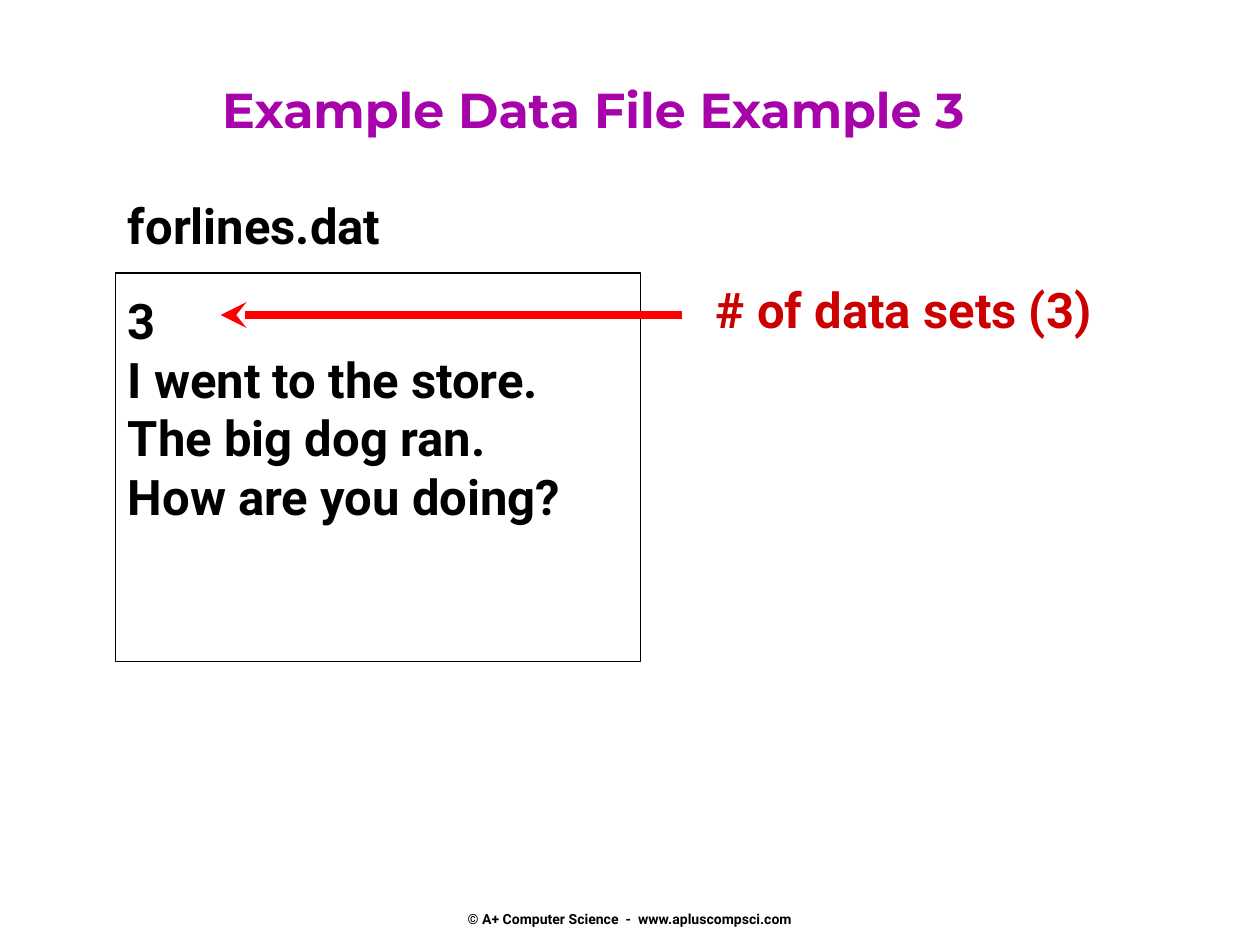
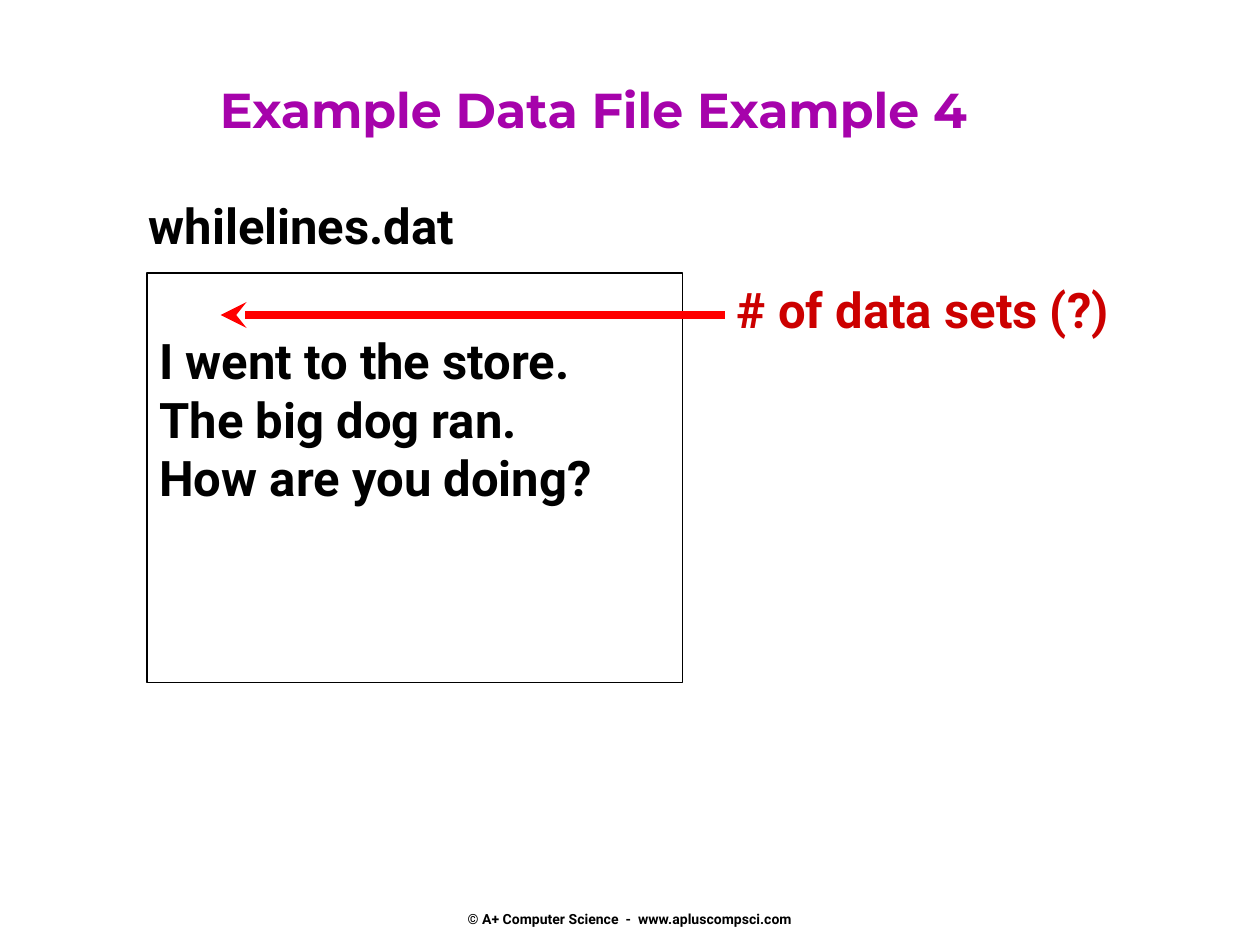
from lxml import etree
from pptx import Presentation
from pptx.dml.color import RGBColor
from pptx.enum.shapes import MSO_CONNECTOR as CONN, MSO_SHAPE as SHAPE
from pptx.enum.text import MSO_ANCHOR as ANCHOR, PP_ALIGN as ALIGN
from pptx.oxml.ns import qn
from pptx.util import Inches, Pt

COLORS = {"title": "A603AB", "text": "000000", "paper": "FFFFFF",
          "note": "CC0000", "arrow": "FF0000"}
HEAD_FONT, BODY_FONT = "Montserrat", "Roboto"
FOOTER = "© A+ Computer Science  -  www.apluscompsci.com"
SENTENCES = ["I went to the store.", "The big dog ran.", "How are you doing?"]

# Rows and columns shared by both slides, in twelfths of an inch
NAME_ROW, BOX_ROW, ARROW_ROW = 18, 26, 30
LABEL_ROWS = 7
ARROW_TIP = 21
FREE_SPACE = 0.99  # room for two more lines at the foot of the file box


def grid(*cells):
    """Turn grid columns and rows into lengths."""
    return [Inches(c / 12) for c in cells]


def rgb(name):
    return RGBColor.from_string(COLORS[name])


def write(sp, lines, size=28, font=BODY_FONT, color="text",
          align=ALIGN.LEFT, anchor=ANCHOR.TOP, bottom=0.05):
    tf = sp.text_frame
    tf.word_wrap = True
    tf.vertical_anchor = anchor
    tf.margin_bottom = Inches(bottom)
    for i, line in enumerate(lines):
        p = tf.add_paragraph() if i else tf.paragraphs[0]
        p.alignment = align
        r = p.add_run()
        r.text = line
        r.font.size, r.font.name, r.font.bold = Pt(size), font, True
        r.font.color.rgb = rgb(color)


def add_text(s, cells, text, **style):
    write(s.shapes.add_textbox(*grid(*cells)), [text], **style)


def add_file_box(s, cells, lines):
    sp = s.shapes.add_shape(SHAPE.RECTANGLE, *grid(*cells))
    sp.shadow.inherit = False
    sp.fill.solid()
    sp.fill.fore_color.rgb = rgb("paper")
    sp.line.color.rgb = rgb("text")
    sp.line.width = Pt(1)
    write(sp, lines, anchor=ANCHOR.MIDDLE, bottom=FREE_SPACE)


def add_arrow(s, start):
    cxn = s.shapes.add_connector(
        CONN.STRAIGHT, *grid(start, ARROW_ROW, ARROW_TIP, ARROW_ROW))
    cxn.line.color.rgb = rgb("arrow")
    cxn.line.width = Pt(5)
    etree.SubElement(cxn.line._get_or_add_ln(), qn("a:tailEnd"), type="stealth")
    etree.SubElement(cxn._element.spPr, qn("a:effectLst"))


def add_data_slide(prs, title, file_name, name_col, box, lines,
                   arrow_start, note, note_col):
    s = prs.slides.add_slide(prs.slide_layouts[6])
    # Footer and title
    add_text(s, (41, 85, 38, 5), FOOTER, size=8,
             align=ALIGN.CENTER, anchor=ANCHOR.MIDDLE)
    add_text(s, (15, 7, 83, 8), title, font=HEAD_FONT, color="title",
             align=ALIGN.CENTER)
    # Data file with its name
    box_col, box_cols, box_rows = box
    add_file_box(s, (box_col, BOX_ROW, box_cols, box_rows), lines)
    add_text(s, (name_col, NAME_ROW, 42, LABEL_ROWS), file_name)
    # Note that points at the first line
    add_arrow(s, arrow_start)
    add_text(s, (note_col, BOX_ROW, 47, LABEL_ROWS), note, color="note")


def main():
    prs = Presentation()
    prs.slide_width, prs.slide_height = Inches(10), Inches(7.5)
    add_data_slide(prs, "Example Data File Example 3", "forlines.dat",
                   name_col=11, box=(11, 50, 37), lines=["3"] + SENTENCES,
                   arrow_start=65, note="# of data sets (3)", note_col=67)
    add_data_slide(prs, "Example Data File Example 4", "whilelines.dat",
                   name_col=13, box=(14, 51, 39), lines=SENTENCES,
                   arrow_start=69, note="# of data sets (?)", note_col=69)
    prs.save("out.pptx")


if __name__ == "__main__":
    main()
